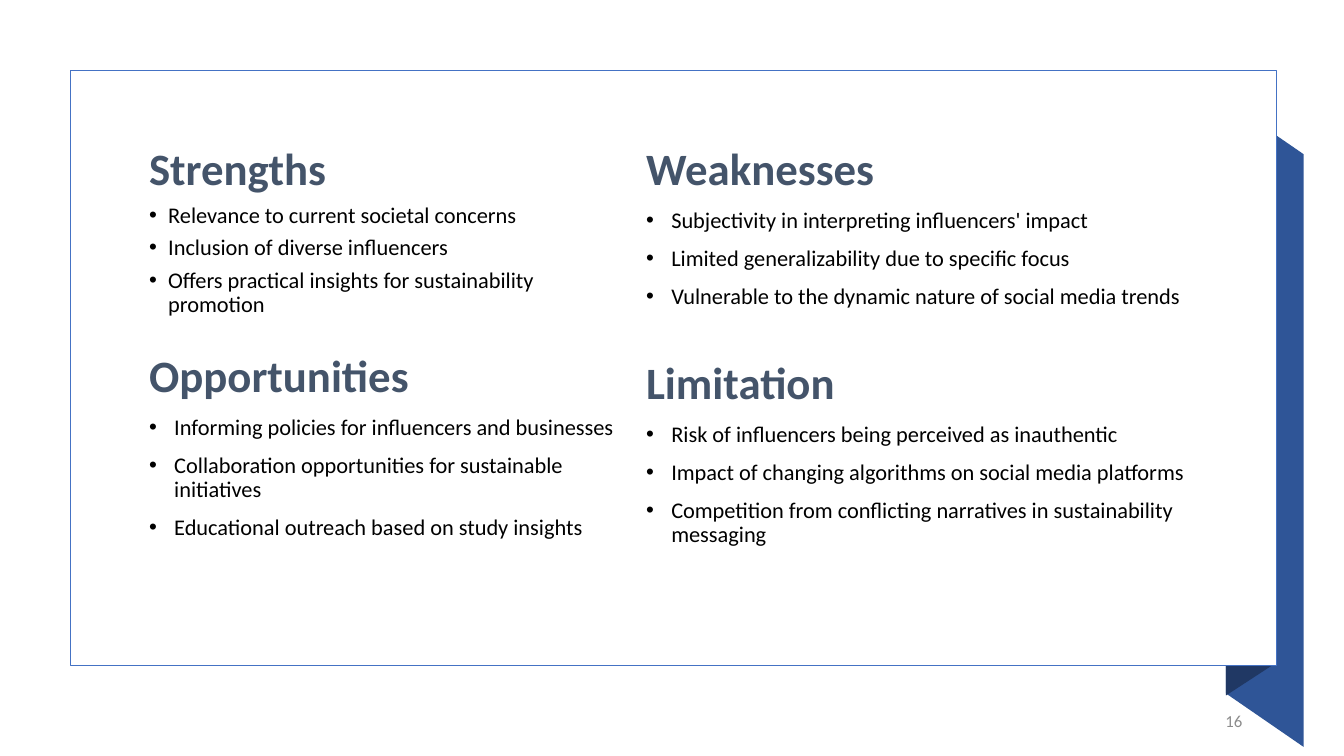
from dataclasses import dataclass

from pptx import Presentation
from pptx.dml.color import RGBColor
from pptx.enum.shapes import MSO_SHAPE
from pptx.enum.text import MSO_ANCHOR, PP_ALIGN
from pptx.oxml.ns import qn
from pptx.util import Inches, Pt
from lxml.etree import SubElement


@dataclass(frozen=True)
class Theme:
    font: str = "Calibri"
    white: str = "FFFFFF"
    border: str = "4472C4"
    ribbon: str = "2F5597"
    fold: str = "203864"
    heading: str = "44546A"
    body: str = "000000"
    number: str = "8C8C8C"
    heading_size: int = 32
    body_size: int = 16
    number_size: int = 12


@dataclass(frozen=True)
class ListStyle:
    indent: float
    before: float
    after: float


THEME = Theme()
TIGHT = ListStyle(indent=0.19, before=0, after=6)
AIRY = ListStyle(indent=0.25, before=9.9, after=0)

PANEL = (0.7, 0.7, 11.96, 5.9)
RIBBON = (12.16, 1, 0.77, 6.41)
FOLD = (12.16, 0.7, 0.46, 6.2)
NUMBER = (9.42, 6.95, 3, 0.4)
RIBBON_SLANT = 0.53
FOLD_SLANT = 0.3

QUADRANTS = [
    ((1.38, 1.41, 4.86, 2), TIGHT, "Strengths", [
        "Relevance to current societal concerns",
        "Inclusion of diverse influencers",
        "Offers practical insights for sustainability promotion",
    ]),
    ((1.38, 3.46, 4.86, 2.43), AIRY, "Opportunities", [
        "Informing policies for influencers and businesses",
        "Collaboration opportunities for sustainable initiatives",
        "Educational outreach based on study insights",
    ]),
    ((6.31, 1.41, 5.64, 2.07), AIRY, "Weaknesses", [
        "Subjectivity in interpreting influencers' impact",
        "Limited generalizability due to specific focus",
        "Vulnerable to the dynamic nature of social media trends",
    ]),
    ((6.31, 3.53, 5.64, 2.37), AIRY, "Limitation", [
        "Risk of influencers being perceived as inauthentic",
        "Impact of changing algorithms on social media platforms",
        "Competition from conflicting narratives in sustainability messaging",
    ]),
]


def fill_shape(shape, color):
    shape.shadow.inherit = False
    shape.fill.solid()
    shape.fill.fore_color.rgb = RGBColor.from_string(color)


def format_runs(paragraph, size, color, bold=False):
    for run in paragraph.runs:
        run.font.name = THEME.font
        run.font.size = Pt(size)
        run.font.bold = bold
        run.font.color.rgb = RGBColor.from_string(color)


def add_band(slide, box, slant, color):
    """Draw an upright band whose right edge is lower by slant (higher if negative)."""
    left, top, width, height = box
    right, bottom = left + width, top + height
    drop, rise = max(slant, 0), max(-slant, 0)
    corners = [(left, top + rise), (right, top + drop),
               (right, bottom - rise), (left, bottom - drop)]
    points = [(Inches(x), Inches(y)) for x, y in corners]
    builder = slide.shapes.build_freeform(*points[0])
    builder.add_line_segments(points[1:], close=True)
    band = builder.convert_to_shape()
    fill_shape(band, color)
    band.line.fill.background()


def add_panel(slide, box):
    panel = slide.shapes.add_shape(MSO_SHAPE.RECTANGLE, *map(Inches, box))
    fill_shape(panel, THEME.white)
    panel.line.color.rgb = RGBColor.from_string(THEME.border)
    panel.line.width = Pt(1)


def add_bullet(paragraph, indent):
    properties = paragraph._p.get_or_add_pPr()
    properties.set("marL", str(Inches(indent)))
    properties.set("indent", str(-Inches(indent)))
    SubElement(properties, qn("a:buFont"), typeface="Arial")
    SubElement(properties, qn("a:buChar"), char="•")


def add_quadrant(slide, box, style, heading, points):
    text_frame = slide.shapes.add_textbox(*map(Inches, box)).text_frame
    text_frame.word_wrap = True
    text_frame.text = "\n".join([heading, *points])
    for paragraph in text_frame.paragraphs:
        paragraph.line_spacing = 0.9
        paragraph.space_before = Pt(style.before)
        paragraph.space_after = Pt(style.after)
    title, *bullets = text_frame.paragraphs
    format_runs(title, THEME.heading_size, THEME.heading, bold=True)
    for paragraph in bullets:
        add_bullet(paragraph, style.indent)
        format_runs(paragraph, THEME.body_size, THEME.body)


def add_slide_number(slide, box, number):
    text_frame = slide.shapes.add_textbox(*map(Inches, box)).text_frame
    text_frame.word_wrap = True
    text_frame.vertical_anchor = MSO_ANCHOR.MIDDLE
    text_frame.text = number
    paragraph = text_frame.paragraphs[0]
    paragraph.alignment = PP_ALIGN.RIGHT
    format_runs(paragraph, THEME.number_size, THEME.number)


def main():
    presentation = Presentation()
    presentation.slide_width = Inches(13.33)
    presentation.slide_height = Inches(7.5)
    slide = presentation.slides.add_slide(presentation.slide_layouts[6])
    add_band(slide, RIBBON, RIBBON_SLANT, THEME.ribbon)
    add_band(slide, FOLD, -FOLD_SLANT, THEME.fold)
    add_panel(slide, PANEL)
    for quadrant in QUADRANTS:
        add_quadrant(slide, *quadrant)
    add_slide_number(slide, NUMBER, "16")
    presentation.save("out.pptx")


if __name__ == "__main__":
    main()
